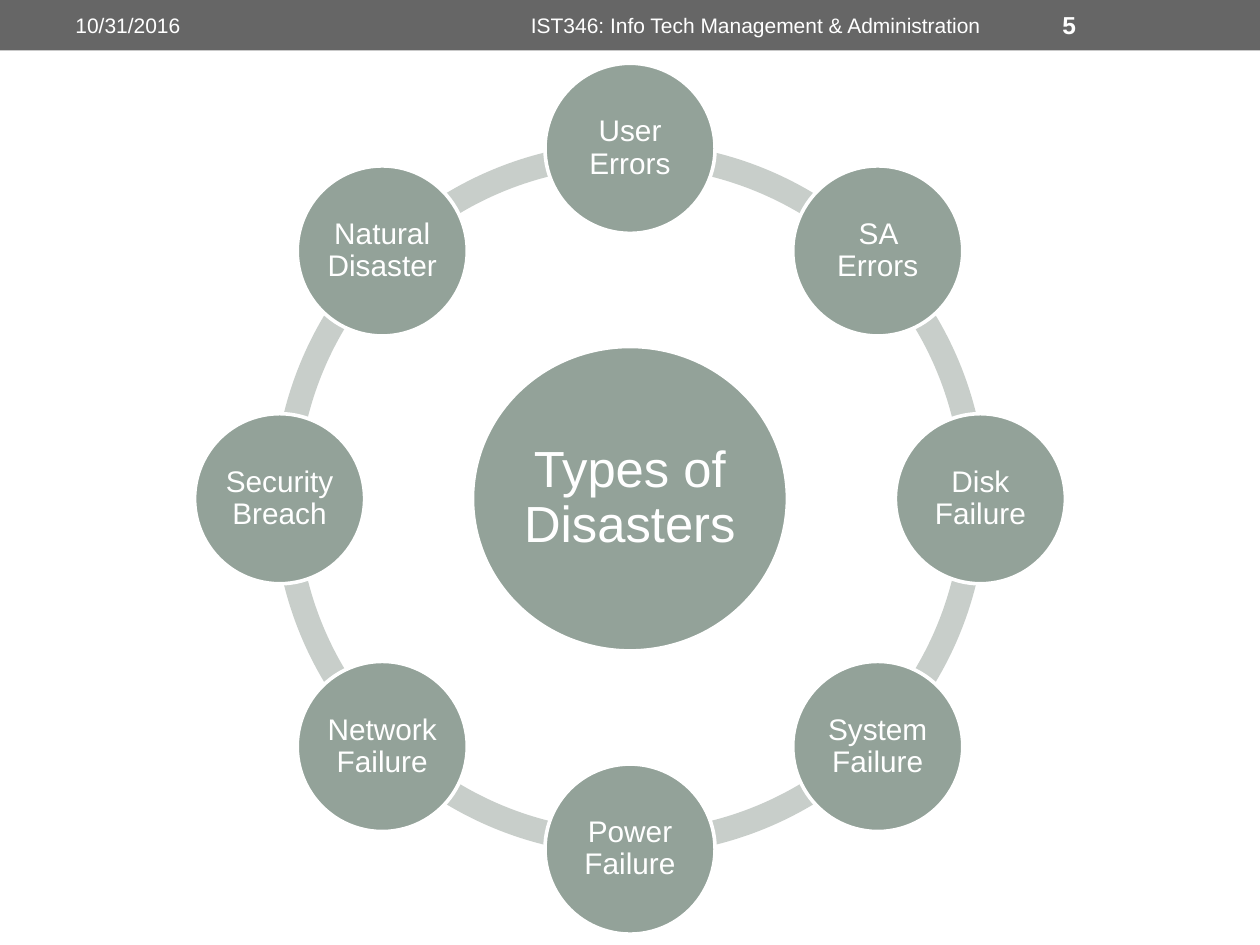
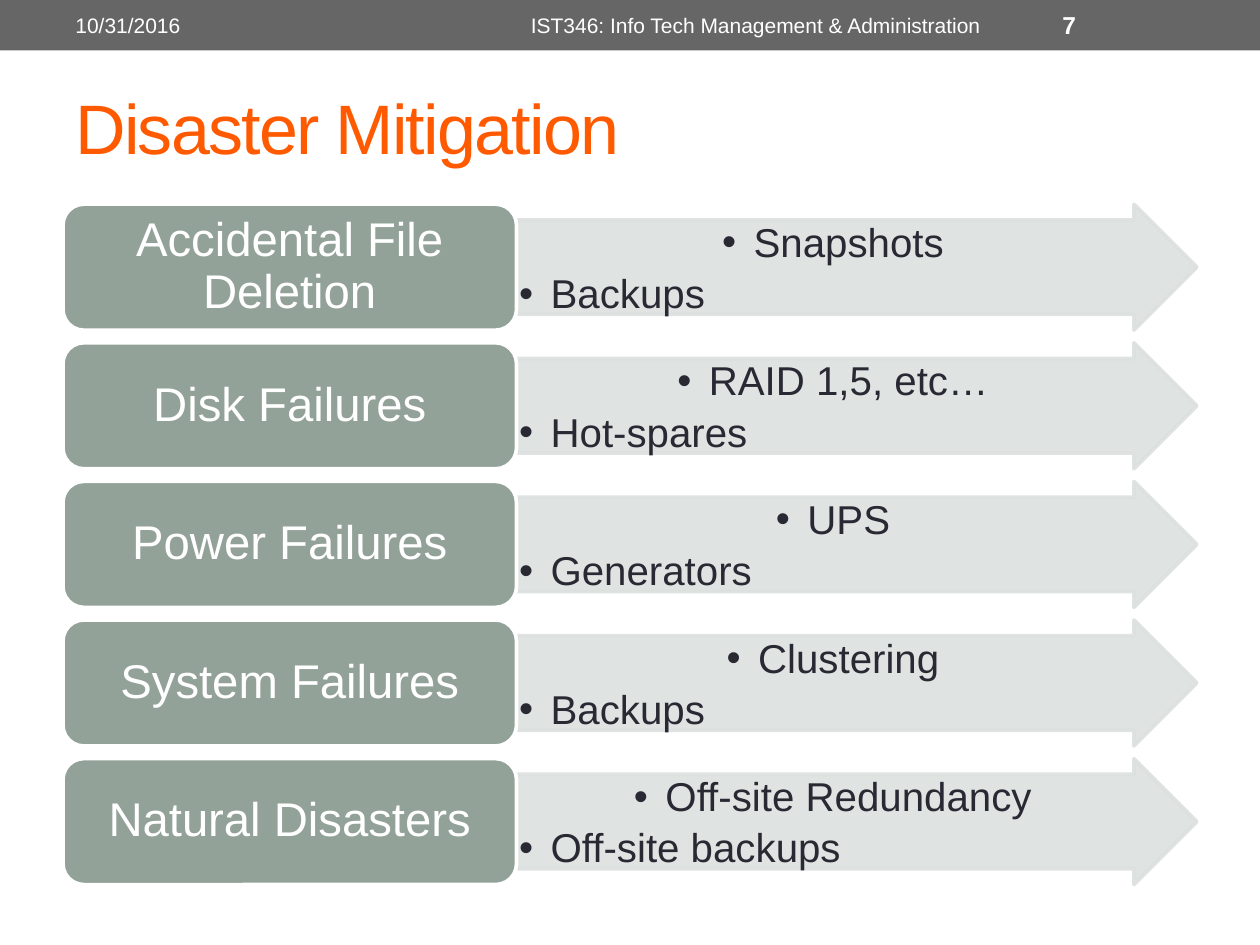
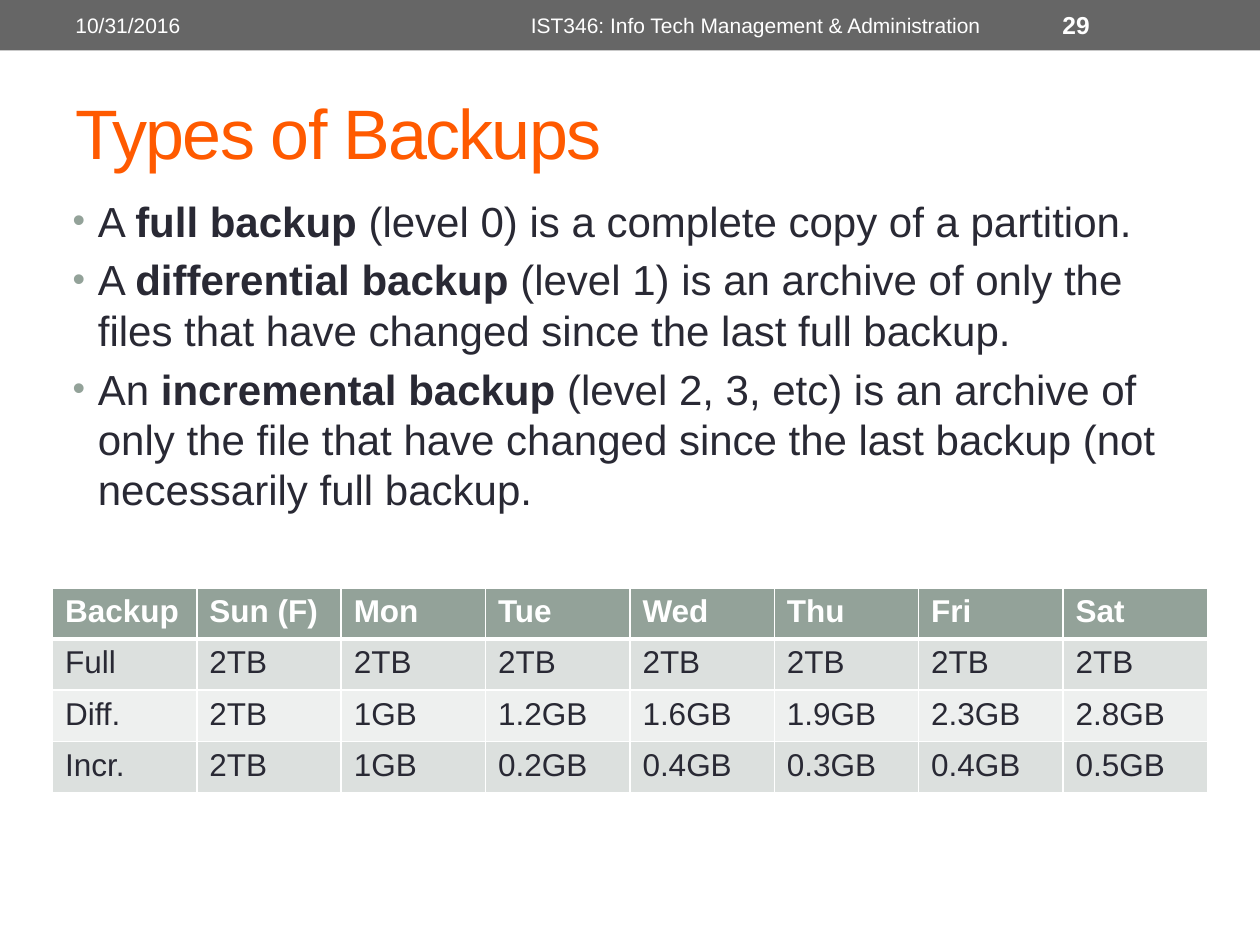
from dataclasses import dataclass, field
from math import cos, radians, sin

from lxml.etree import SubElement
from pptx import Presentation
from pptx.dml.color import RGBColor
from pptx.enum.shapes import MSO_SHAPE
from pptx.enum.text import MSO_ANCHOR, PP_ALIGN
from pptx.oxml.ns import qn
from pptx.util import Inches, Pt

# Grid: 120 columns by 90 rows on a 10 by 7.5 inch slide
SLIDE_WIDTH, SLIDE_HEIGHT = Inches(10), Inches(7.5)
COLUMNS, ROWS = 120, 90
FONT = "Arial"
COLORS = {
    "band": "666666", "title": "FF5A00", "text": "292934", "white": "FFFFFF",
    "sage": "93A299", "ring": "C8CECA", "pale": "DCE0DE", "palest": "EEF0EF",
}
OUTLINE = 2.08


@dataclass(frozen=True)
class Box:
    column: float
    row: float
    columns: float
    rows: float

    def place(self) -> tuple[int, int, int, int]:
        return (across(self.column), down(self.row), across(self.columns), down(self.rows))


@dataclass(frozen=True)
class Bullet:
    indent: float
    color: str = "text"
    size: int = 100


@dataclass(frozen=True)
class TextStyle:
    size: float
    color: str = "white"
    bold: bool = False
    tracking: int = 0
    anchor: MSO_ANCHOR = MSO_ANCHOR.MIDDLE
    margins: tuple[float, float] = (0.1, 0.05)
    paragraph: dict = field(default_factory=dict)
    bullet: Bullet | None = None


@dataclass(frozen=True)
class Mitigation:
    disaster: str
    remedies: list[str]


# Text styles
CENTERED = {"alignment": PP_ALIGN.CENTER}
TIGHT = {"alignment": PP_ALIGN.CENTER, "line_spacing": 0.9}
HEADER = TextStyle(12)
HEADER_CENTERED = TextStyle(12, paragraph=CENTERED)
PAGE_NUMBER = TextStyle(14, bold=True)
TITLE = TextStyle(40, "title", tracking=-100)
HUB = TextStyle(29, margins=(0.04, 0.04), paragraph=TIGHT)
NODE = TextStyle(17, margins=(0.02, 0.02), paragraph=TIGHT)
DISASTER = TextStyle(27, margins=(0.11, 0.06), paragraph=TIGHT)
REMEDY = TextStyle(23, "text", anchor=MSO_ANCHOR.TOP, margins=(0.02, 0.02),
                   paragraph={"line_spacing": 0.9, "space_after": Pt(4.5)}, bullet=Bullet(0.25))
BODY = TextStyle(24, "text", anchor=MSO_ANCHOR.TOP,
                 paragraph={"space_before": Pt(4.8)}, bullet=Bullet(0.2, "sage", 85))
TABLE_HEAD = TextStyle(18, bold=True, anchor=MSO_ANCHOR.TOP)
TABLE_BODY = TextStyle(18, "text", anchor=MSO_ANCHOR.TOP)

# Content
DISASTER_TYPES = ["User Errors", "SA Errors", "Disk Failure", "System Failure",
                  "Power Failure", "Network Failure", "Security Breach", "Natural Disaster"]
MITIGATIONS = [
    Mitigation("Accidental File Deletion", ["Snapshots", "Backups"]),
    Mitigation("Disk Failures", ["RAID 1,5, etc…", "Hot-spares"]),
    Mitigation("Power Failures", ["UPS", "Generators"]),
    Mitigation("System Failures", ["Clustering", "Backups"]),
    Mitigation("Natural Disasters", ["Off-site Redundancy", "Off-site backups"]),
]
# Each definition: lead, bold term, rest
DEFINITIONS = [
    ("A ", "full backup ", "(level 0) is a complete copy of a partition."),
    ("A ", "differential backup", " (level 1) is an archive of only the files that have "
     "changed since the last full backup."),
    ("An ", "incremental backup ", "(level 2, 3, etc) is an archive of only the file that have "
     "changed since the last backup (not necessarily full backup."),
]
BACKUP_SIZES = [
    ["Backup", "Sun (F)", "Mon", "Tue", "Wed", "Thu", "Fri", "Sat"],
    ["Full"] + ["2TB"] * 7,
    ["Diff.", "2TB", "1GB", "1.2GB", "1.6GB", "1.9GB", "2.3GB", "2.8GB"],
    ["Incr.", "2TB", "1GB", "0.2GB", "0.4GB", "0.3GB", "0.4GB", "0.5GB"],
]


# Helpers
def across(columns: float) -> int:
    return round(SLIDE_WIDTH * columns / COLUMNS)


def down(rows: float) -> int:
    return round(SLIDE_HEIGHT * rows / ROWS)


def rgb(name: str) -> RGBColor:
    return RGBColor.from_string(COLORS[name])


def set_attributes(target, values: dict) -> None:
    for name, value in values.items():
        setattr(target, name, value)


def add_bullet(paragraph, bullet: Bullet) -> None:
    properties = paragraph._p.get_or_add_pPr()
    indent = Inches(bullet.indent)
    properties.set("marL", str(indent))
    properties.set("indent", str(-indent))
    color = SubElement(properties, qn("a:buClr"))
    SubElement(color, qn("a:srgbClr"), val=COLORS[bullet.color])
    SubElement(properties, qn("a:buSzPct"), val=str(bullet.size * 1000))
    SubElement(properties, qn("a:buFont"), typeface=FONT)
    SubElement(properties, qn("a:buChar"), char="•")


def write(text_frame, paragraphs: list, style: TextStyle) -> None:
    """Write paragraphs; in a tuple, every second run is bold."""
    for index, content in enumerate(paragraphs):
        paragraph = text_frame.paragraphs[0] if index == 0 else text_frame.add_paragraph()
        set_attributes(paragraph, style.paragraph)
        if style.bullet:
            add_bullet(paragraph, style.bullet)
        runs = (content,) if isinstance(content, str) else content
        for position, text in enumerate(runs):
            run = paragraph.add_run()
            run.text = text
            set_attributes(run.font, {"name": FONT, "size": Pt(style.size),
                                      "bold": style.bold or position % 2 == 1})
            run.font.color.rgb = rgb(style.color)
            if style.tracking:
                run.font._element.set("spc", str(style.tracking))


def margin_values(style: TextStyle) -> dict:
    side, end = (Inches(margin) for margin in style.margins)
    return {"margin_left": side, "margin_right": side, "margin_top": end,
            "margin_bottom": end, "vertical_anchor": style.anchor}


def fill_frame(shape, paragraphs: list, style: TextStyle) -> None:
    set_attributes(shape.text_frame, {"word_wrap": True, **margin_values(style)})
    write(shape.text_frame, paragraphs, style)


def add_text(slide, box: Box, paragraphs: list, style: TextStyle) -> None:
    fill_frame(slide.shapes.add_textbox(*box.place()), paragraphs, style)


def add_block(slide, kind: MSO_SHAPE, box: Box, fill: str, line: str | None = None,
              adjustments: tuple = (), opacity: int = 100):
    shape = slide.shapes.add_shape(kind, *box.place())
    shape.shadow.inherit = False
    for index, value in enumerate(adjustments):
        shape.adjustments[index] = value
    shape.fill.solid()
    shape.fill.fore_color.rgb = rgb(fill)
    if line:
        shape.line.color.rgb = rgb(line)
        shape.line.width = Pt(OUTLINE)
    else:
        shape.line.fill.background()
    if opacity < 100:
        for color in shape._element.spPr.iter(qn("a:srgbClr")):
            SubElement(color, qn("a:alpha"), val=str(opacity * 1000))
    return shape


def centered_box(column: float, row: float, columns: float, rows: float) -> Box:
    return Box(column - columns / 2, row - rows / 2, columns, rows)


def set_borders(cell, bottom: float) -> None:
    properties = cell._tc.get_or_add_tcPr()
    widths = {"a:lnL": 1, "a:lnR": 1, "a:lnT": 1, "a:lnB": bottom}
    for index, (tag, width) in enumerate(widths.items()):
        line = properties.makeelement(qn(tag), {"w": str(Pt(width))})
        solid = SubElement(line, qn("a:solidFill"))
        SubElement(solid, qn("a:srgbClr"), val=COLORS["white"])
        properties.insert(index, line)


# Parts shared by the slides
def new_slide(presentation, number: int):
    slide = presentation.slides.add_slide(presentation.slide_layouts[6])
    add_block(slide, MSO_SHAPE.RECTANGLE, Box(0, 0, COLUMNS, 4.8), "band")
    for column, columns, text, style in (
        (6, 38, "10/31/2016", HEADER),
        (45, 54, "IST346: Info Tech Management & Administration", HEADER_CENTERED),
        (100, 14, str(number), PAGE_NUMBER),
    ):
        add_text(slide, Box(column, 0.2, columns, 4.4), [text], style)
    return slide


def add_title(slide, text: str, rows: float) -> None:
    add_text(slide, Box(6, 7, 108, rows), [text], TITLE)


# Slides
def build_disaster_types(presentation) -> None:
    slide = new_slide(presentation, 5)
    center_column, center_row, radius = 60, 47.5, 33.37
    step = 360 / len(DISASTER_TYPES)
    ring = centered_box(center_column, center_row, 67.9, 67.9)
    for index in range(len(DISASTER_TYPES)):
        # Arc angles count 0.6 per degree
        start, end = (step * turn % 360 * 0.6 for turn in (index, index + 1))
        add_block(slide, MSO_SHAPE.BLOCK_ARC, ring, "ring", adjustments=(start, end, 0.034))
    hub = add_block(slide, MSO_SHAPE.OVAL, centered_box(center_column, center_row, 30, 29),
                    "sage", "white")
    fill_frame(hub, ["Types of Disasters"], HUB)
    for index, disaster in enumerate(DISASTER_TYPES):
        angle = radians(step * index)
        node_box = centered_box(center_column + radius * sin(angle),
                                center_row - radius * cos(angle), 16.2, 16.2)
        node = add_block(slide, MSO_SHAPE.OVAL, node_box, "sage", "white")
        fill_frame(node, [disaster], NODE)


def build_mitigation(presentation) -> None:
    slide = new_slide(presentation, 7)
    add_title(slide, "Disaster Mitigation", 10)
    top, pitch, height = 19.45, 13.2, 12
    for index, mitigation in enumerate(MITIGATIONS):
        row = top + pitch * index
        arrow = add_block(slide, MSO_SHAPE.RIGHT_ARROW, Box(49.2, row, 64.8, height),
                          "pale", "pale", (0.75, 0.5), opacity=90)
        fill_frame(arrow, mitigation.remedies, REMEDY)
        label = add_block(slide, MSO_SHAPE.ROUNDED_RECTANGLE, Box(6, row, 43.2, height),
                          "sage", "white")
        fill_frame(label, [mitigation.disaster], DISASTER)


def build_backup_types(presentation) -> None:
    slide = new_slide(presentation, 29)
    add_title(slide, "Types of Backups", 11)
    add_text(slide, Box(5.75, 18, 108, 37), DEFINITIONS, BODY)
    table = slide.shapes.add_table(len(BACKUP_SIZES), len(BACKUP_SIZES[0]),
                                   *Box(5, 56, 110, 19.47).place()).table
    for row, values in enumerate(BACKUP_SIZES):
        is_head = row == 0
        style = TABLE_HEAD if is_head else TABLE_BODY
        fill = "sage" if is_head else ("palest", "pale")[row % 2]
        for column, value in enumerate(values):
            cell = table.cell(row, column)
            set_attributes(cell, margin_values(style))
            cell.fill.solid()
            cell.fill.fore_color.rgb = rgb(fill)
            set_borders(cell, bottom=3 if is_head else 1)
            write(cell.text_frame, [value], style)


def main() -> None:
    presentation = Presentation()
    set_attributes(presentation, {"slide_width": SLIDE_WIDTH, "slide_height": SLIDE_HEIGHT})
    for build in (build_disaster_types, build_mitigation, build_backup_types):
        build(presentation)
    presentation.save("out.pptx")


if __name__ == "__main__":
    main()
